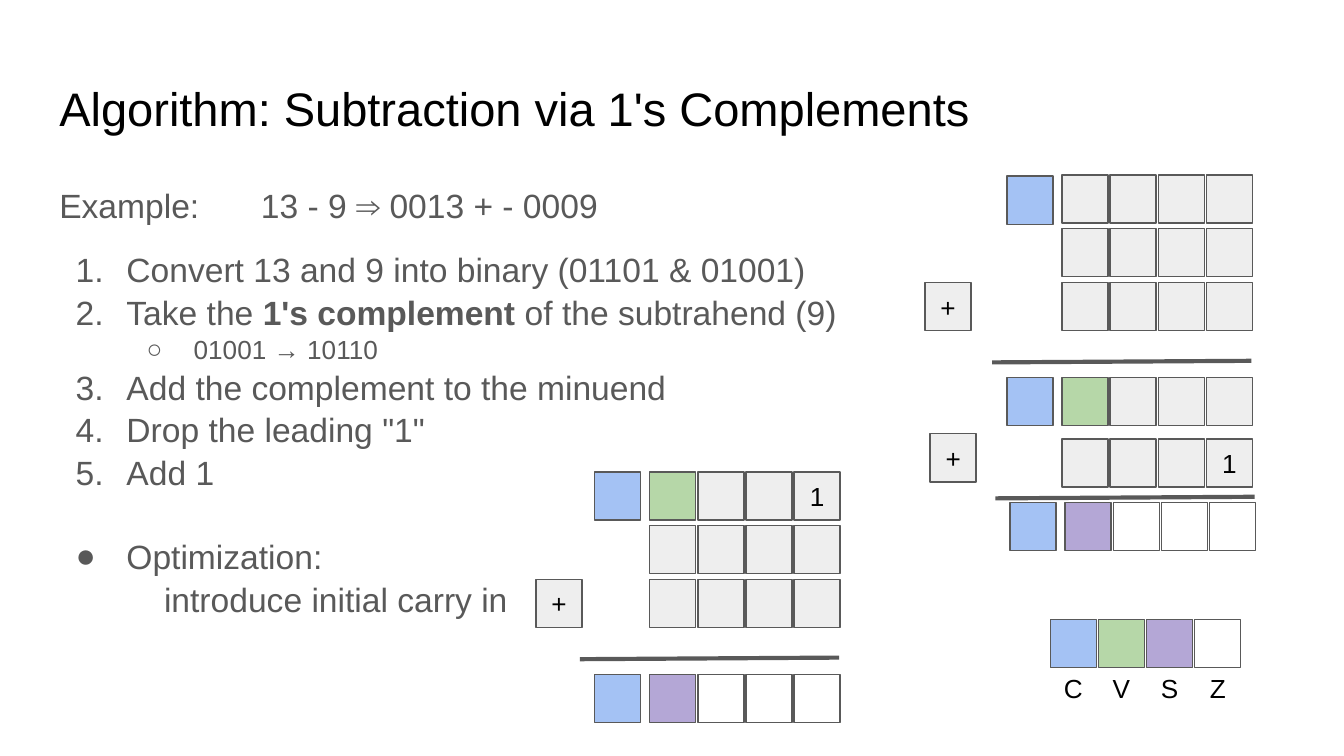
from lxml.etree import SubElement
from pptx import Presentation
from pptx.dml.color import RGBColor
from pptx.enum.shapes import MSO_CONNECTOR, MSO_SHAPE
from pptx.enum.text import MSO_ANCHOR, MSO_AUTO_SIZE, PP_ALIGN
from pptx.oxml.ns import qn
from pptx.util import Cm, Pt

HEADING = "Algorithm: Subtraction via 1's Complements"
NUMBER = ("buAutoNum", {"type": "arabicPeriod"})
CIRCLE = ("buChar", {"char": "○"})
DISC = ("buChar", {"char": "●"})
PLAIN = ("buNone", {})
STEPS = [
    (PLAIN, 0, 0, 0, 0, ["Example:\t13 - 9 ⇒ 0013 + - 0009"]),
    (NUMBER, 0, 1.27, -0.96, 12, ["Convert 13 and 9 into binary (01101 & 01001)"]),
    (NUMBER, 0, 1.27, -0.96, 0,
     ["Take the", " 1's complement ", "of the subtrahend (9)"]),
    (CIRCLE, 1, 2.54, -0.89, 0, ["01001 → 10110"]),
    (NUMBER, 0, 1.27, -0.96, 0, ["Add the complement to the minuend"]),
    (NUMBER, 0, 1.27, -0.96, 0, ['Drop the leading "1"']),
    (NUMBER, 0, 1.27, -0.96, 0, ["Add 1"]),
    (DISC, 0, 1.27, -0.96, 22.7, ["Optimization:"]),
    (PLAIN, 0, 1.98, 0, 0, ["introduce initial carry in"]),
]
LEVEL_SIZES = [18, 14]
EXAMPLE_TAB = 3.18

INK, GREY = "000000", "595959"
FLAG_FILLS = {"C": "A4C2F4", "V": "B6D7A8", "S": "B4A7D6", "Z": "FFFFFF",
              "-": "EEEEEE", "1": "EEEEEE", "+": "EEEEEE"}
CELL_W, CELL_H, PITCH, CARRY_GAP = 0.87, 0.91, 0.91, 1.04
RIGHT, RESULT, LOWER = 20.07, 20.13, 12.28
BIT_ROWS = [
    (RIGHT, 3.31, "----"), (RIGHT, 4.32, "----"), (RIGHT, 5.34, "----"),
    (RIGHT, 7.14, "V---"), (RIGHT, 8.3, "---1"), (RESULT, 9.5, "SZZZ"),
    (LOWER, 8.92, "V--1"), (LOWER, 9.93, "----"), (LOWER, 10.95, "----"),
    (LOWER, 12.75, "SZZZ"),
    (17.48, 5.34, "+"), (17.58, 8.2, "+"), (10.13, 10.95, "+"),
]
CARRIES = [(RIGHT, 3.33), (RIGHT, 7.14), (RESULT, 9.5), (LOWER, 8.92), (LOWER, 12.75)]
SUM_LINES = [(RIGHT, 6.82), (RESULT, 9.39), (LOWER, 12.43)]
SUM_OVERHANG, SUM_LENGTH, SUM_RISE = 1.32, 4.9, 0.03
LEGEND, LEGEND_LEFT, LEGEND_TOP, CAPTION_TOP = "CVSZ", 19.85, 11.71, 12.56

FRAME = {"word_wrap": True, "auto_size": MSO_AUTO_SIZE.NONE,
         "margin_left": Cm(0.25), "margin_right": Cm(0.25),
         "margin_top": Cm(0.25), "margin_bottom": Cm(0.25)}
CELL_FRAME = {"word_wrap": True, "vertical_anchor": MSO_ANCHOR.MIDDLE,
              "margin_left": 0, "margin_right": 0,
              "margin_top": 0, "margin_bottom": 0}


def apply(target, values):
    for key, value in values.items():
        setattr(target, key, value)


def paint(color_format, color):
    color_format.rgb = RGBColor.from_string(color)


def write(paragraph, wording, size, color, bold=False):
    run = paragraph.add_run()
    run.text = wording
    apply(run.font, {"name": "Arial", "size": Pt(size), "bold": bold})
    paint(run.font.color, color)


def place(part, left, top, width, height):
    apply(part, {"left": Cm(left), "top": Cm(top),
                 "width": Cm(width), "height": Cm(height)})


def label(part, wording):
    apply(part.text_frame, CELL_FRAME)
    line = part.text_frame.paragraphs[0]
    line.alignment = PP_ALIGN.CENTER
    write(line, wording, 14, INK)


def add_cell(shapes, left, top, flag):
    cell = shapes.add_shape(MSO_SHAPE.RECTANGLE, Cm(left), Cm(top), Cm(CELL_W), Cm(CELL_H))
    cell.shadow.inherit = False
    cell.fill.solid()
    paint(cell.fill.fore_color, FLAG_FILLS[flag])
    paint(cell.line.color, GREY)
    cell.line.width = Pt(0.75)
    if flag in "1+":
        label(cell, flag)


def add_row(shapes, left, top, flags):
    for column, flag in enumerate(flags):
        add_cell(shapes, left + column * PITCH, top, flag)


def add_sum_line(shapes, left, top):
    start = left - SUM_OVERHANG
    rule = shapes.add_connector(MSO_CONNECTOR.STRAIGHT, Cm(start), Cm(top + SUM_RISE),
                                Cm(start + SUM_LENGTH), Cm(top))
    paint(rule.line.color, GREY)
    rule.line.width = Pt(2.25)
    SubElement(rule.element.spPr, qn("a:effectLst"))


def add_step(paragraph, bullet, level, margin, indent, before, pieces):
    apply(paragraph, {"level": level, "alignment": PP_ALIGN.LEFT, "line_spacing": 1.05,
                      "space_before": Pt(before), "space_after": Pt(0)})
    properties = paragraph._p.get_or_add_pPr()
    properties.set("marL", str(Cm(margin)))
    properties.set("indent", str(Cm(indent)))
    bullet_color = SubElement(properties, qn("a:buClr"))
    SubElement(bullet_color, qn("a:srgbClr"), val=GREY)
    SubElement(properties, qn("a:buFont"), typeface="Arial")
    kind, attributes = bullet
    SubElement(properties, qn("a:" + kind), **attributes)
    if "\t" in pieces[0]:
        tabs = SubElement(properties, qn("a:tabLst"))
        SubElement(tabs, qn("a:tab"), pos=str(Cm(EXAMPLE_TAB)), algn="l")
    for position, piece in enumerate(pieces):
        write(paragraph, piece, LEVEL_SIZES[level], GREY, bold=position == 1)


def main():
    deck = Presentation()
    apply(deck, {"slide_width": Cm(25.4), "slide_height": Cm(14.29)})
    slide = deck.slides.add_slide(deck.slide_layouts[1])
    shapes = slide.shapes

    title, steps = shapes.title, slide.placeholders[1]
    place(title, 0.87, 1.24, 23.67, 1.6)
    place(steps, 0.87, 3.2, 23.67, 9.5)
    for part in (title, steps):
        apply(part.text_frame, FRAME)
    heading = title.text_frame.paragraphs[0]
    heading.alignment = PP_ALIGN.LEFT
    write(heading, HEADING, 25.2, INK)

    body = steps.text_frame
    for position, step in enumerate(STEPS):
        add_step(body.add_paragraph() if position else body.paragraphs[0], *step)

    for left, top, flags in BIT_ROWS:
        add_row(shapes, left, top, flags)
    for left, top in CARRIES:
        add_cell(shapes, left - CARRY_GAP, top, "C")
    for left, top in SUM_LINES:
        add_sum_line(shapes, left, top)

    add_row(shapes, LEGEND_LEFT, LEGEND_TOP, LEGEND)
    for column, flag in enumerate(LEGEND):
        label(shapes.add_textbox(Cm(LEGEND_LEFT + column * PITCH), Cm(CAPTION_TOP),
                                 Cm(CELL_W), Cm(CELL_H)), flag)

    deck.save("out.pptx")


if __name__ == "__main__":
    main()
